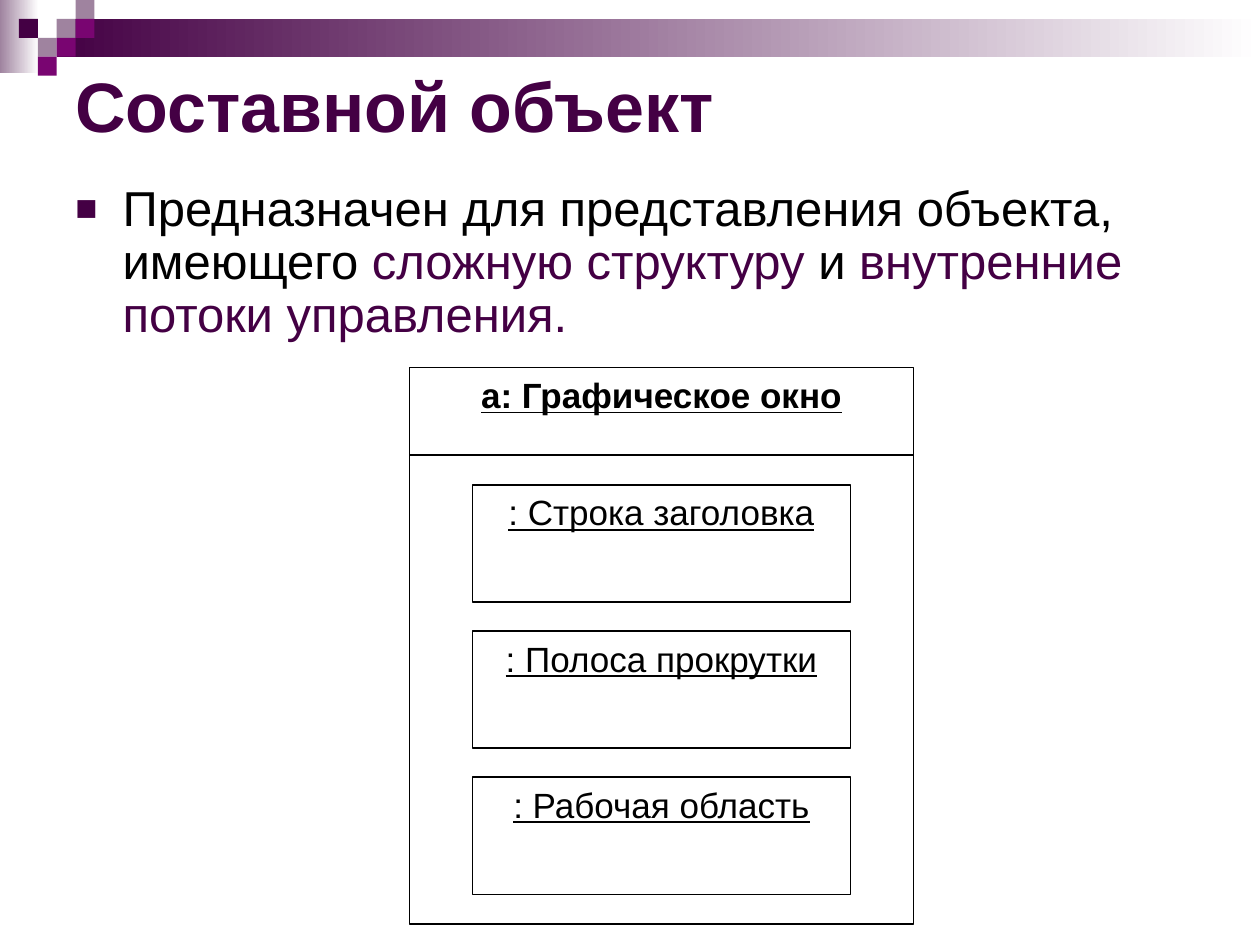
from dataclasses import dataclass
from typing import Any

import lxml.etree
import pptx
import pptx.dml.color
import pptx.enum.shapes
import pptx.enum.text
import pptx.oxml.ns
import pptx.util

Pt = pptx.util.Pt
PURPLE, MAGENTA, MAUVE = "440044", "790571", "9F839F"
BLACK, WHITE = "000000", "FFFFFF"
CELL = 10.8


@dataclass
class Frame:
    left: float
    top: float
    width: float
    height: float

    def lengths(self) -> list[int]:
        return [Pt(value) for value in (self.left, self.top, self.width, self.height)]


@dataclass
class Square:
    column: int
    row: int
    color: str


@dataclass
class ObjectBox:
    frame: Frame
    label: str = ""
    bold: bool = False


@dataclass
class TextPart:
    text: str
    color: str


SQUARES = [
    Square(3, 1, MAUVE), Square(4, 0, MAUVE), Square(4, 1, MAGENTA),
    Square(2, 2, MAUVE), Square(1, 1, PURPLE), Square(3, 2, MAGENTA),
    Square(2, 3, MAGENTA),
]
PART_LABELS = [": Строка заголовка", ": Полоса прокрутки", ": Рабочая область"]
OBJECT_BOXES = [
    ObjectBox(Frame(234, 210, 288, 50), "а: Графическое окно", True),
    ObjectBox(Frame(234, 260, 288, 268)),
] + [
    ObjectBox(Frame(270, 277 + 83.6 * index, 216, 67), label)
    for index, label in enumerate(PART_LABELS)
]
BODY_PARTS = [
    TextPart("Предназначен для представления объекта, имеющего ", BLACK),
    TextPart("сложную структуру", PURPLE),
    TextPart(" и ", BLACK),
    TextPart("внутренние потоки управления.", PURPLE),
]


def set_attributes(target: Any, values: dict[str, Any]) -> None:
    for name, value in values.items():
        setattr(target, name, value)


def set_color(color_format: Any, color: str) -> None:
    color_format.rgb = pptx.dml.color.RGBColor.from_string(color)


def add_rectangle(slide: Any, frame: Frame, color: str = WHITE) -> Any:
    shape = slide.shapes.add_shape(
        pptx.enum.shapes.MSO_SHAPE.RECTANGLE, *frame.lengths())
    shape.shadow.inherit = False
    shape.fill.solid()
    set_color(shape.fill.fore_color, color)
    shape.line.fill.background()
    return shape


def add_fading_band(slide: Any, frame: Frame, color: str) -> None:
    shape = add_rectangle(slide, frame)
    shape.fill.gradient()
    shape.fill.gradient_angle = 0
    for stop, position, stop_color in zip(
            shape.fill.gradient_stops, (0, 1), (color, WHITE)):
        stop.position = position
        set_color(stop.color, stop_color)


def add_run(paragraph: Any, part: TextPart, values: dict[str, Any]) -> None:
    run = paragraph.add_run()
    run.text = part.text
    set_attributes(run.font, {"name": "Arial", **values})
    set_color(run.font.color, part.color)


def add_text_box(slide: Any, frame: Frame, anchor: Any) -> Any:
    text_frame = slide.shapes.add_textbox(*frame.lengths()).text_frame
    set_attributes(text_frame, {"word_wrap": True, "vertical_anchor": anchor})
    return text_frame.paragraphs[0]


def add_bullet(paragraph: Any, indent: float) -> None:
    properties = paragraph._p.get_or_add_pPr()
    properties.set("marL", str(Pt(indent)))
    properties.set("indent", str(-Pt(indent)))
    qualified = pptx.oxml.ns.qn
    color = lxml.etree.SubElement(properties, qualified("a:buClr"))
    lxml.etree.SubElement(color, qualified("a:srgbClr"), val=PURPLE)
    lxml.etree.SubElement(properties, qualified("a:buSzPct"), val="75000")
    lxml.etree.SubElement(properties, qualified("a:buFont"), typeface="Arial")
    lxml.etree.SubElement(properties, qualified("a:buChar"), char="■")


def add_object_box(slide: Any, box: ObjectBox) -> None:
    shape = add_rectangle(slide, box.frame)
    set_color(shape.line.color, BLACK)
    shape.line.width = Pt(1)
    if box.label:
        text_frame = shape.text_frame
        set_attributes(text_frame, {
            "word_wrap": True,
            "vertical_anchor": pptx.enum.text.MSO_ANCHOR.TOP,
        })
        paragraph = text_frame.paragraphs[0]
        paragraph.alignment = pptx.enum.text.PP_ALIGN.CENTER
        add_run(paragraph, TextPart(box.label, BLACK),
                {"size": Pt(20), "bold": box.bold, "underline": True})


def main() -> None:
    presentation = pptx.Presentation()
    set_attributes(presentation, {"slide_width": Pt(720), "slide_height": Pt(540)})
    slide = presentation.slides.add_slide(presentation.slide_layouts[6])

    add_fading_band(slide, Frame(0, 0, 22, 42), MAUVE)
    add_fading_band(slide, Frame(3 * CELL, CELL, 720 - 3 * CELL, 2 * CELL), PURPLE)
    for square in SQUARES:
        add_rectangle(
            slide,
            Frame(square.column * CELL, square.row * CELL, CELL, CELL),
            square.color)

    anchors = pptx.enum.text.MSO_ANCHOR
    title = add_text_box(slide, Frame(36, 24, 648, 72), anchors.MIDDLE)
    add_run(title, TextPart("Составной объект", PURPLE),
            {"size": Pt(40), "bold": True})

    body = add_text_box(slide, Frame(36, 102, 648, 103), anchors.TOP)
    add_bullet(body, 27)
    body.line_spacing = 0.9
    for part in BODY_PARTS:
        add_run(body, part, {"size": Pt(28)})

    for box in OBJECT_BOXES:
        add_object_box(slide, box)

    presentation.save("out.pptx")


if __name__ == "__main__":
    main()
